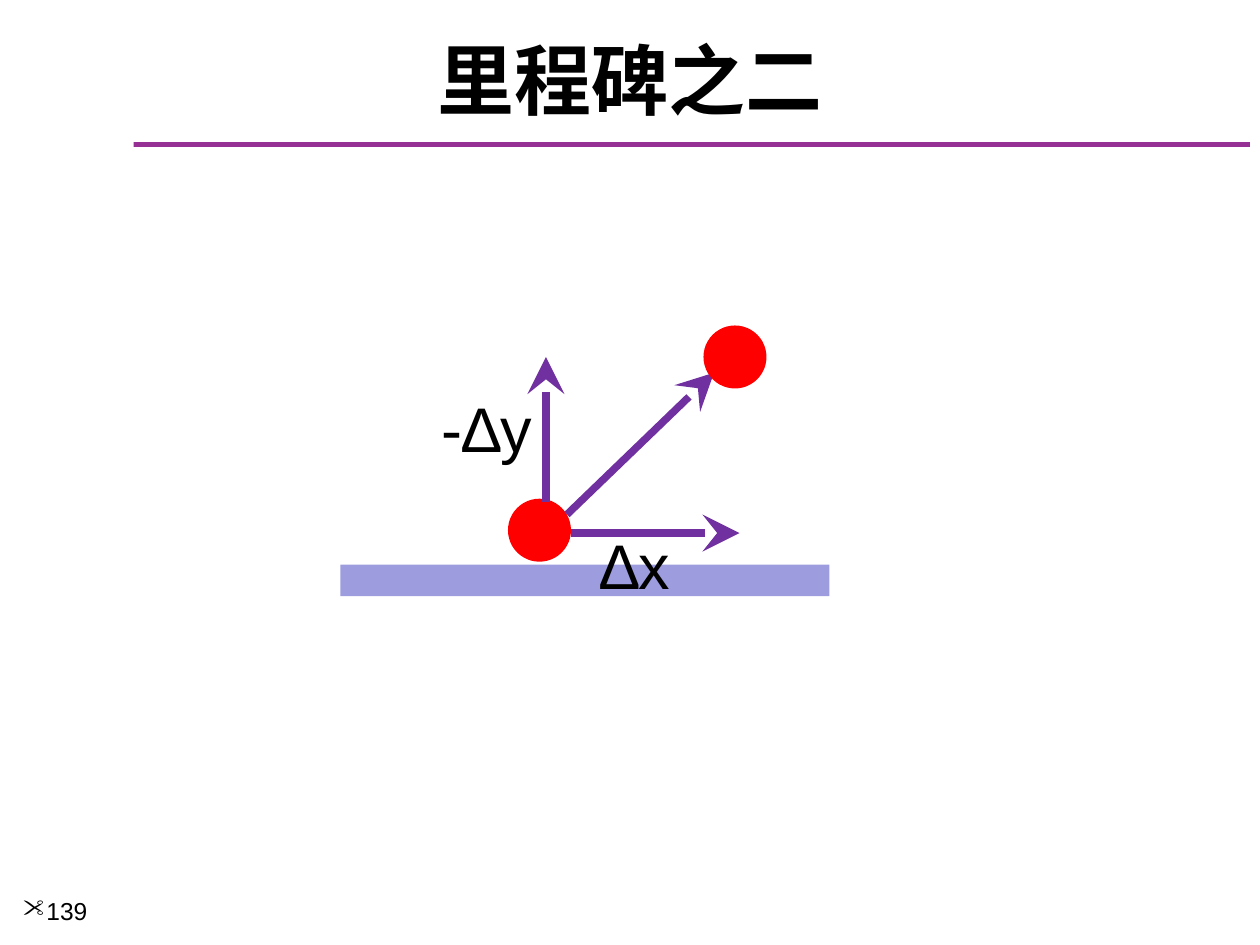
from lxml.etree import SubElement
from pptx import Presentation
from pptx.dml.color import RGBColor
from pptx.enum.shapes import MSO_CONNECTOR, MSO_SHAPE
from pptx.enum.text import MSO_ANCHOR, PP_ALIGN
from pptx.oxml.ns import qn
from pptx.util import Pt

BLACK, RED, PURPLE = "000000", "FF0000", "7030A0"
RULE, PADDLE = "973095", "9C9CDF"


def color(value):
    return RGBColor.from_string(value)


def write(frame, text, size=36, font="Arial", bold=False, align=PP_ALIGN.LEFT,
          anchor=MSO_ANCHOR.TOP, wrap=True, bullet=None):
    frame.word_wrap = wrap
    frame.vertical_anchor = anchor
    paragraph = frame.paragraphs[0]
    paragraph.alignment = align
    if bullet:
        properties = paragraph._p.get_or_add_pPr()
        SubElement(properties, qn("a:buFont"), typeface="Wingdings", charset="2")
        SubElement(properties, qn("a:buChar"), char=bullet)
    run = paragraph.add_run()
    run.text = text
    run.font.size = Pt(size)
    run.font.name = font
    run.font.bold = bold
    run.font.color.rgb = color(BLACK)


class Board:
    def __init__(self, slide, arrow_color=PURPLE, arrow_width=4.25):
        self.shapes = slide.shapes
        self.arrow_color = arrow_color
        self.arrow_width = arrow_width

    def text(self, left, top, width, height, text, **style):
        box = self.shapes.add_textbox(Pt(left), Pt(top), Pt(width), Pt(height))
        write(box.text_frame, text, **style)

    def solid(self, kind, left, top, width, height, fill):
        solid = self.shapes.add_shape(kind, Pt(left), Pt(top), Pt(width), Pt(height))
        solid.shadow.inherit = False
        solid.fill.solid()
        solid.fill.fore_color.rgb = color(fill)
        solid.line.fill.background()

    def bar(self, left, top, width, height, fill):
        self.solid(MSO_SHAPE.RECTANGLE, left, top, width, height, fill)

    def ball(self, left, top, diameter=36):
        self.solid(MSO_SHAPE.OVAL, left, top, diameter, diameter, RED)

    def arrow(self, start, end):
        points = [Pt(value) for value in (*start, *end)]
        arrow = self.shapes.add_connector(MSO_CONNECTOR.STRAIGHT, *points)
        arrow.line.color.rgb = color(self.arrow_color)
        arrow.line.width = Pt(self.arrow_width)
        SubElement(arrow.line._get_or_add_ln(), qn("a:tailEnd"),
                   type="stealth", w="lg", len="lg")
        SubElement(arrow._element.spPr, qn("a:effectLst"))


def main():
    deck = Presentation()
    deck.slide_width, deck.slide_height = Pt(720), Pt(540)
    board = Board(deck.slides.add_slide(deck.slide_layouts[6]))

    board.bar(76.3, 81.2, 638, 2.8, RULE)
    board.text(12, 18, 696, 54, "里程碑之二", size=44, font="Times New Roman",
               bold=True, align=PP_ALIGN.CENTER, anchor=MSO_ANCHOR.MIDDLE)
    board.text(6, 508.5, 78, 31.5, "139", size=14, bullet='"')

    board.ball(290.3, 285)
    board.bar(194.5, 322.6, 279.4, 18, PADDLE)
    board.arrow((326.2, 304.6), (422.6, 304.6))
    board.arrow((312, 286.6), (312, 204))
    board.text(336, 297.4, 54.7, 51, "∆x", wrap=False)
    board.arrow((324, 294), (408, 213))
    board.text(245, 219, 67, 51, "-∆y", wrap=False)
    board.ball(402, 186)

    deck.save("out.pptx")


if __name__ == "__main__":
    main()
